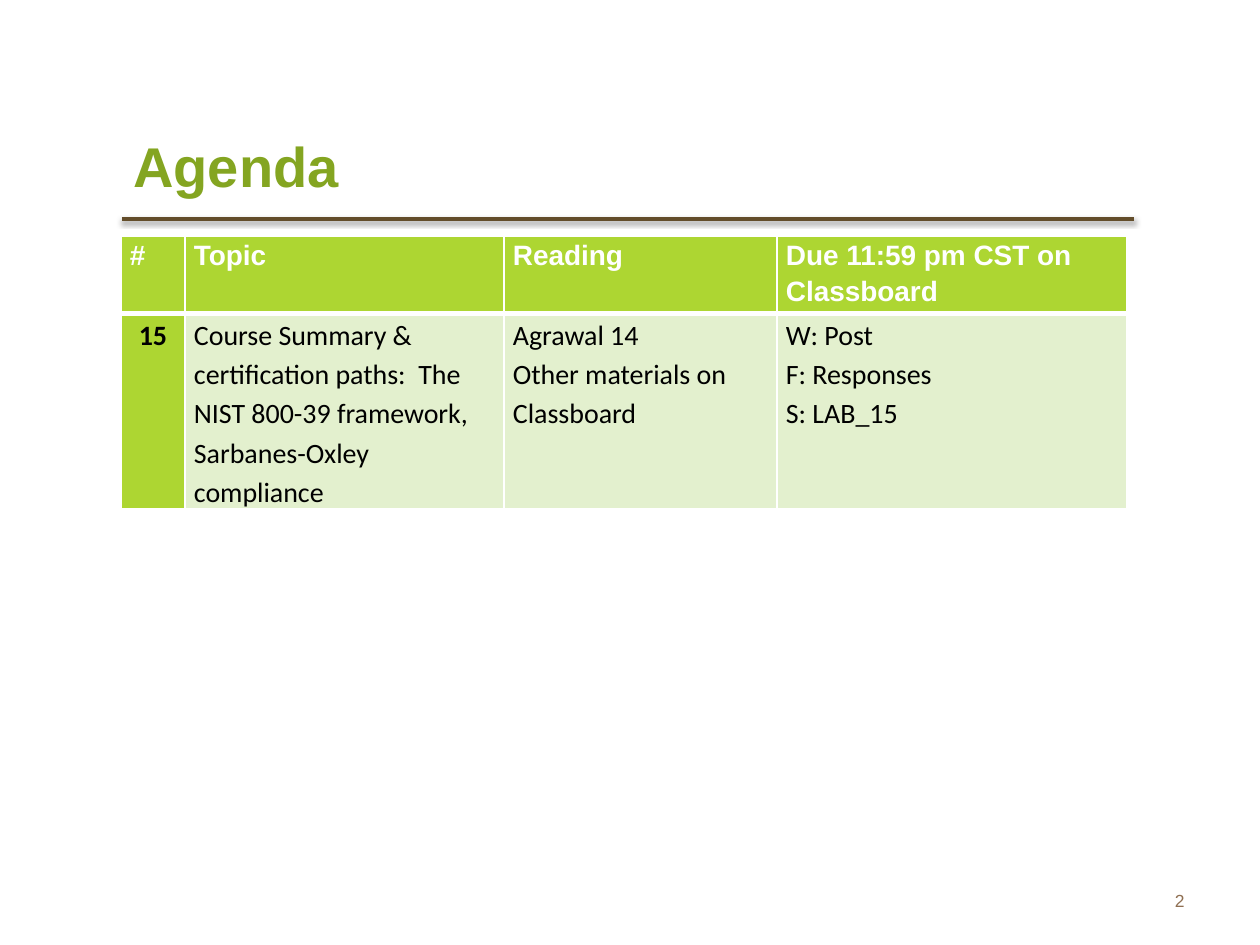
from lxml.etree import SubElement
from pptx import Presentation
from pptx.dml.color import RGBColor
from pptx.enum.shapes import MSO_CONNECTOR
from pptx.enum.text import MSO_ANCHOR, PP_ALIGN
from pptx.oxml.ns import qn
from pptx.util import Emu, Pt

EMU_PER_PX = 914400 / 126
LIME, PALE, WHITE, BLACK = "ADD632", "E3F0CE", "FFFFFF", "000000"
OLIVE, BROWN, TAN = "84A521", "634D2A", "8F6F52"


def px(length):
    return Emu(round(length * EMU_PER_PX))


def color(hex_string):
    return RGBColor.from_string(hex_string)


class SlideBuilder:
    heading_font = "Arial"
    body_font = "Calibri"
    table_size = 16
    line_spacing = 1.15
    cell_margin = 9

    def __init__(self, slide):
        self.slide = slide

    def add_run(self, paragraph, text, font, size, hex_color, bold=False):
        run = paragraph.add_run()
        run.text = text
        run.font.name = font
        run.font.size = Pt(size)
        run.font.bold = bold
        run.font.color.rgb = color(hex_color)

    def text(self, left, top, width, height, text, size, hex_color,
             bold=False, align=PP_ALIGN.LEFT):
        shape = self.slide.shapes.add_textbox(px(left), px(top), px(width), px(height))
        frame = shape.text_frame
        frame.word_wrap = True
        frame.vertical_anchor = MSO_ANCHOR.MIDDLE
        paragraph = frame.paragraphs[0]
        paragraph.alignment = align
        self.add_run(paragraph, text, self.heading_font, size, hex_color, bold)

    def rule(self, left, right, y, hex_color, width):
        line = self.slide.shapes.add_connector(
            MSO_CONNECTOR.STRAIGHT, px(left), px(y), px(right), px(y))
        line.line.color.rgb = color(hex_color)
        line.line.width = Pt(width)
        # Soft shadow straight below the line
        effects = SubElement(line._element.spPr, qn("a:effectLst"))
        shadow = SubElement(effects, qn("a:outerShdw"), blurRad=str(Pt(3.1)),
                            dist=str(Pt(1.6)), dir="5400000", rotWithShape="0")
        shade = SubElement(shadow, qn("a:srgbClr"), val=BLACK)
        SubElement(shade, qn("a:alpha"), val="38000")

    def borders(self, cell, bottom):
        properties = cell._tc.get_or_add_tcPr()
        for side, width in (("L", 1), ("R", 1), ("T", 1), ("B", bottom)):
            border = SubElement(properties, qn(f"a:ln{side}"), w=str(Pt(width)))
            fill = SubElement(border, qn("a:solidFill"))
            SubElement(fill, qn("a:srgbClr"), val=WHITE)

    def cell(self, cell, lines, fill, font, hex_color, bold, align, bottom):
        self.borders(cell, bottom)
        cell.fill.solid()
        cell.fill.fore_color.rgb = color(fill)
        cell.margin_left = cell.margin_right = px(self.cell_margin)
        cell.margin_top = cell.margin_bottom = 0
        frame = cell.text_frame
        for index, text in enumerate(lines):
            paragraph = frame.add_paragraph() if index else frame.paragraphs[0]
            paragraph.alignment = align
            paragraph.line_spacing = self.line_spacing
            self.add_run(paragraph, text, font, self.table_size, hex_color, bold)

    def table(self, left, top, widths, heights, rows):
        table = self.slide.shapes.add_table(
            len(rows), len(widths), px(left), px(top),
            px(sum(widths)), px(sum(heights))).table
        table.first_row = table.horz_banding = False
        for column, width in zip(table.columns, widths):
            column.width = px(width)
        for row, height in zip(table.rows, heights):
            row.height = px(height)
        for row_index, row in enumerate(rows):
            header = row_index == 0
            for column_index, lines in enumerate(row):
                label = header or column_index == 0
                self.cell(
                    table.cell(row_index, column_index), lines,
                    fill=LIME if label else PALE,
                    font=self.heading_font if header else self.body_font,
                    hex_color=WHITE if header else BLACK,
                    bold=label,
                    align=PP_ALIGN.CENTER if label and not header else PP_ALIGN.LEFT,
                    bottom=3 if header else 1)


def main():
    presentation = Presentation()
    presentation.slide_width, presentation.slide_height = px(1260), px(945)
    builder = SlideBuilder(presentation.slides.add_slide(presentation.slide_layouts[6]))

    # Title and rule
    builder.rule(122, 1134, 219, BROWN, 2)
    builder.text(121, 109, 727, 113, "Agenda", 32, OLIVE, bold=True)

    # Agenda table
    builder.table(121, 236, widths=(64, 319, 273, 350), heights=(71, 196), rows=[
        [["#"], ["Topic"], ["Reading"], ["Due 11:59 pm CST on Classboard"]],
        [["15"],
         ["Course Summary & certification paths:  The NIST 800-39 framework, "
          "Sarbanes-Oxley compliance"],
         ["Agrawal 14", "Other materials on Classboard"],
         ["W: Post", "F: Responses", "S: LAB_15"]],
    ])

    # Slide number
    builder.text(903, 876, 294, 50, "2", 10, TAN, align=PP_ALIGN.RIGHT)

    presentation.save("out.pptx")


if __name__ == "__main__":
    main()
